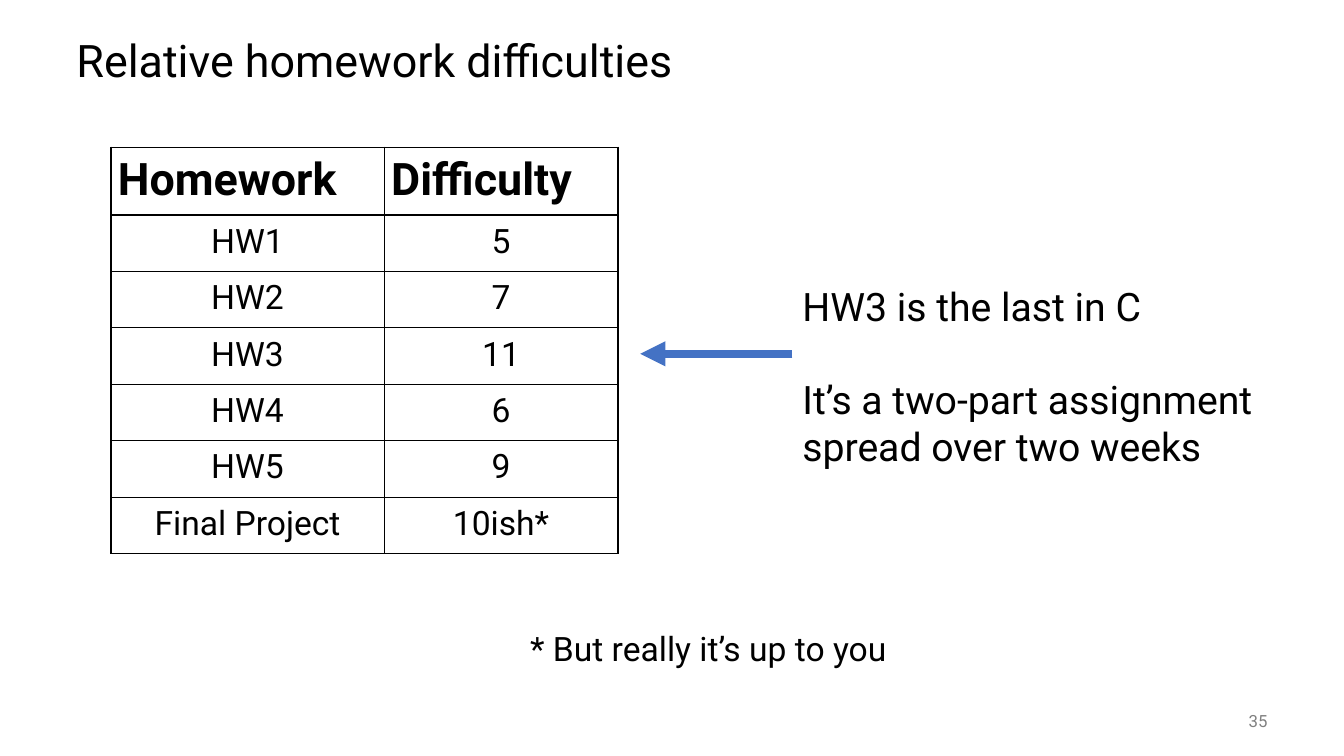
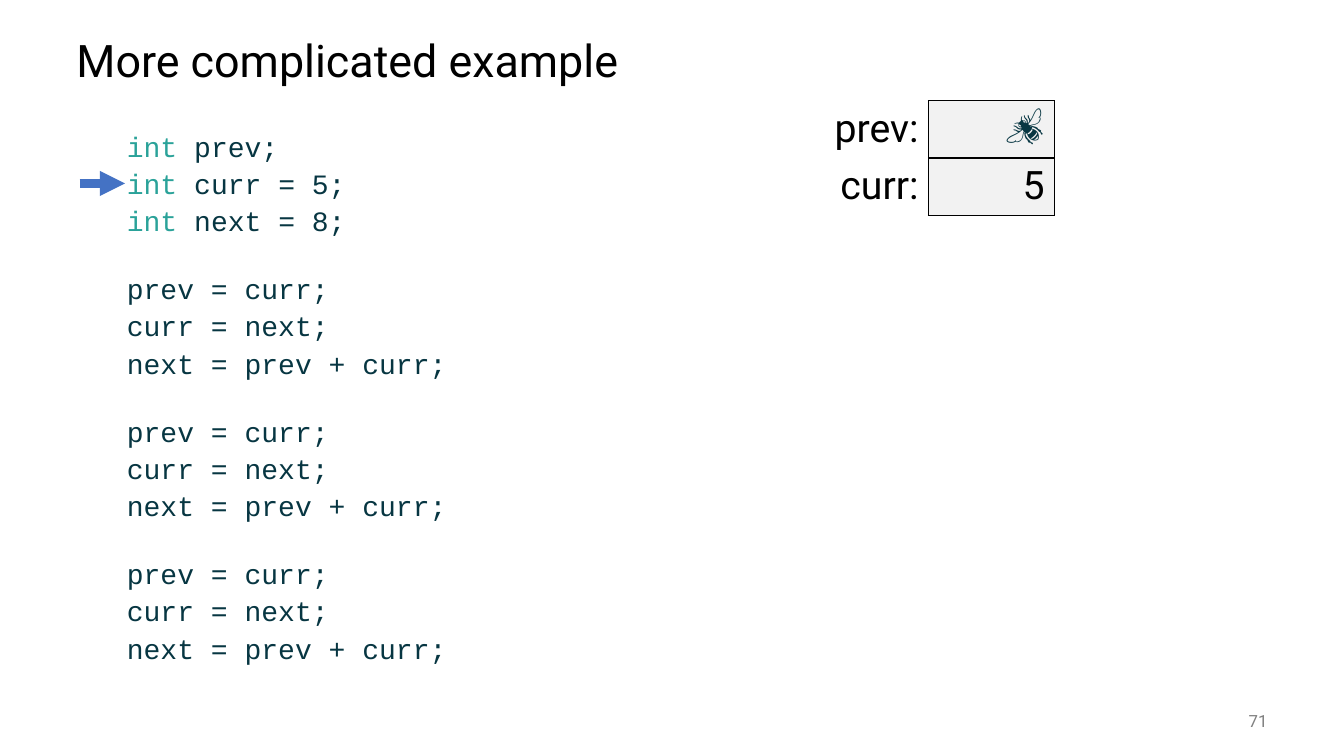
import pptx
import pptx.dml.color
import pptx.enum.shapes
import pptx.enum.text
import pptx.oxml.ns
import pptx.util
import lxml.etree

PX = 9144
COLORS = {
    "text": "000000",
    "number": "808080",
    "arrow": "4472C4",
    "code": "073642",
    "keyword": "2AA299",
    "memory": "F2F2F2",
}
SANS = "Roboto"
MONO = "Courier New"
NO_TABLE_STYLE = "{2D5ABB26-0587-4C30-8999-92F81FD0307C}"
ALIGN = pptx.enum.text.PP_ALIGN
ANCHOR = pptx.enum.text.MSO_ANCHOR

TITLE_BOX = (66, 25, 1200, 75)
NUMBER_BOX = (1167, 695, 100, 40)

DIFFICULTIES = [
    ("Homework", "Difficulty"),
    ("HW1", "5"),
    ("HW2", "7"),
    ("HW3", "11"),
    ("HW4", "6"),
    ("HW5", "9"),
    ("Final Project", "10ish*"),
]
REMARK = "HW3 is the last in C\n\nIt’s a two-part assignment spread over two weeks"
DECLARATIONS = "int prev;\nint curr = 5;\nint next = 8;"
SHIFT = "prev = curr;\ncurr = next;\nnext = prev + curr;"
PROGRAM = "\n\n".join([DECLARATIONS] + [SHIFT] * 3)
VARIABLES = [("prev:", "🐝", MONO, "code"), ("curr:", "5", SANS, "text")]


def px(*lengths):
    return [pptx.util.Emu(length * PX) for length in lengths]


def rgb(name):
    return pptx.dml.color.RGBColor.from_string(COLORS[name])


def add_xml(parent, tag, **attributes):
    return lxml.etree.SubElement(parent, pptx.oxml.ns.qn(tag), attributes)


def write(frame, text, size, color="text", font=SANS, bold=False, align=ALIGN.LEFT,
          spacing=1.0, line_gap=0, block_gap=0, keyword=None):
    frame.word_wrap = True
    paragraph = None
    for block in text.split("\n\n"):
        for index, line in enumerate(block.split("\n")):
            if paragraph is None:
                paragraph = frame.paragraphs[0]
            else:
                paragraph = frame.add_paragraph()
                paragraph.space_before = pptx.util.Pt(line_gap if index else block_gap)
            paragraph.alignment = align
            paragraph.line_spacing = spacing
            parts = [(line, color)]
            if keyword and line.startswith(keyword):
                parts = [(keyword, "keyword"), (line[len(keyword):], color)]
            for words, tint in parts:
                run = paragraph.add_run()
                run.text = words
                run.font.name = font
                run.font.size = pptx.util.Pt(size)
                run.font.bold = bold
                run.font.color.rgb = rgb(tint)


def add_text(slide, box, text, anchor=ANCHOR.TOP, **style):
    frame = slide.shapes.add_textbox(*px(*box)).text_frame
    frame.vertical_anchor = anchor
    write(frame, text, **style)


def add_arrow(slide, start, end, y):
    arrow = slide.shapes.add_connector(
        pptx.enum.shapes.MSO_CONNECTOR.STRAIGHT, *px(start, y, end, y))
    arrow.line.color.rgb = rgb("arrow")
    arrow.line.width = pptx.util.Pt(6)
    add_xml(arrow.line._get_or_add_ln(), "a:tailEnd", type="triangle")
    add_xml(arrow._element.spPr, "a:effectLst")


def add_grid(slide, left, top, widths, heights):
    table = slide.shapes.add_table(
        len(heights), len(widths), *px(left, top, sum(widths), sum(heights))).table
    table.first_row = table.horz_banding = False
    table._tbl.tblPr.find(pptx.oxml.ns.qn("a:tableStyleId")).text = NO_TABLE_STYLE
    for column, width in zip(table.columns, px(*widths)):
        column.width = width
    for row, height in zip(table.rows, px(*heights)):
        row.height = height
    return table


def fill_cell(cell, text, sides="LRTB", fill=None, margin=None, **style):
    if margin is not None:
        inset, = px(margin)
        cell.margin_left = cell.margin_right = inset
        cell.margin_top = cell.margin_bottom = inset
    properties = cell._tc.get_or_add_tcPr()
    for side in sides:
        border = add_xml(properties, "a:ln" + side, w=str(pptx.util.Pt(1)))
        add_xml(add_xml(border, "a:solidFill"), "a:srgbClr", val=COLORS["text"])
    if fill:
        cell.fill.solid()
        cell.fill.fore_color.rgb = rgb(fill)
    else:
        cell.fill.background()
    write(cell.text_frame, text, **style)


def add_difficulty_table(slide, left, top, header_height, row_height):
    heights = [header_height] + [row_height] * (len(DIFFICULTIES) - 1)
    table = add_grid(slide, left, top, [271, 232], heights)
    for row, entries in enumerate(DIFFICULTIES):
        style = (dict(size=24, align=ALIGN.CENTER) if row
                 else dict(size=32, bold=True))
        for column, entry in enumerate(entries):
            fill_cell(table.cell(row, column), entry, margin=7, **style)


def add_memory(slide, left, top, width, row_height):
    table = add_grid(slide, left, top, [width // 2] * 2, [row_height] * len(VARIABLES))
    for row, (label, value, font, color) in enumerate(VARIABLES):
        fill_cell(table.cell(row, 0), label, sides="R", size=28, align=ALIGN.RIGHT)
        fill_cell(table.cell(row, 1), value, fill="memory", size=28,
                  align=ALIGN.RIGHT, font=font, color=color)


def add_program(slide, left, top, width, height):
    add_text(slide, (left + 50, top, width - 50, height), PROGRAM, size=20,
             font=MONO, color="code", spacing=0.9, line_gap=5, block_gap=27,
             keyword="int ")
    add_arrow(slide, left + 13, left + 58, top + 55)


def add_slide(deck, title, number):
    slide = deck.slides.add_slide(deck.slide_layouts[6])
    add_text(slide, TITLE_BOX, title, anchor=ANCHOR.MIDDLE, size=32, spacing=0.9)
    add_text(slide, NUMBER_BOX, number, anchor=ANCHOR.MIDDLE, size=12,
             color="number", align=ALIGN.RIGHT)
    return slide


def build_difficulties(deck):
    slide = add_slide(deck, "Relative homework difficulties", "35")
    top, header_height, row_height = 146, 65, 56
    add_difficulty_table(slide, 110, top, header_height, row_height)
    third_homework = top + header_height + row_height * 5 // 2
    add_arrow(slide, 786, 635, third_homework)
    add_text(slide, (786, 275, 481, 199), REMARK, size=28, block_gap=33)
    add_text(slide, (516, 623, 496, 54), "* But really it’s up to you",
             size=24, spacing=0.9)


def build_example(deck):
    slide = add_slide(deck, "More complicated example", "71")
    add_program(slide, 66, 127, 700, 550)
    add_memory(slide, 796, 100, 250, 56)


def main():
    deck = pptx.Presentation()
    deck.slide_width, deck.slide_height = px(1333, 750)
    build_difficulties(deck)
    build_example(deck)
    deck.save("out.pptx")


if __name__ == "__main__":
    main()
